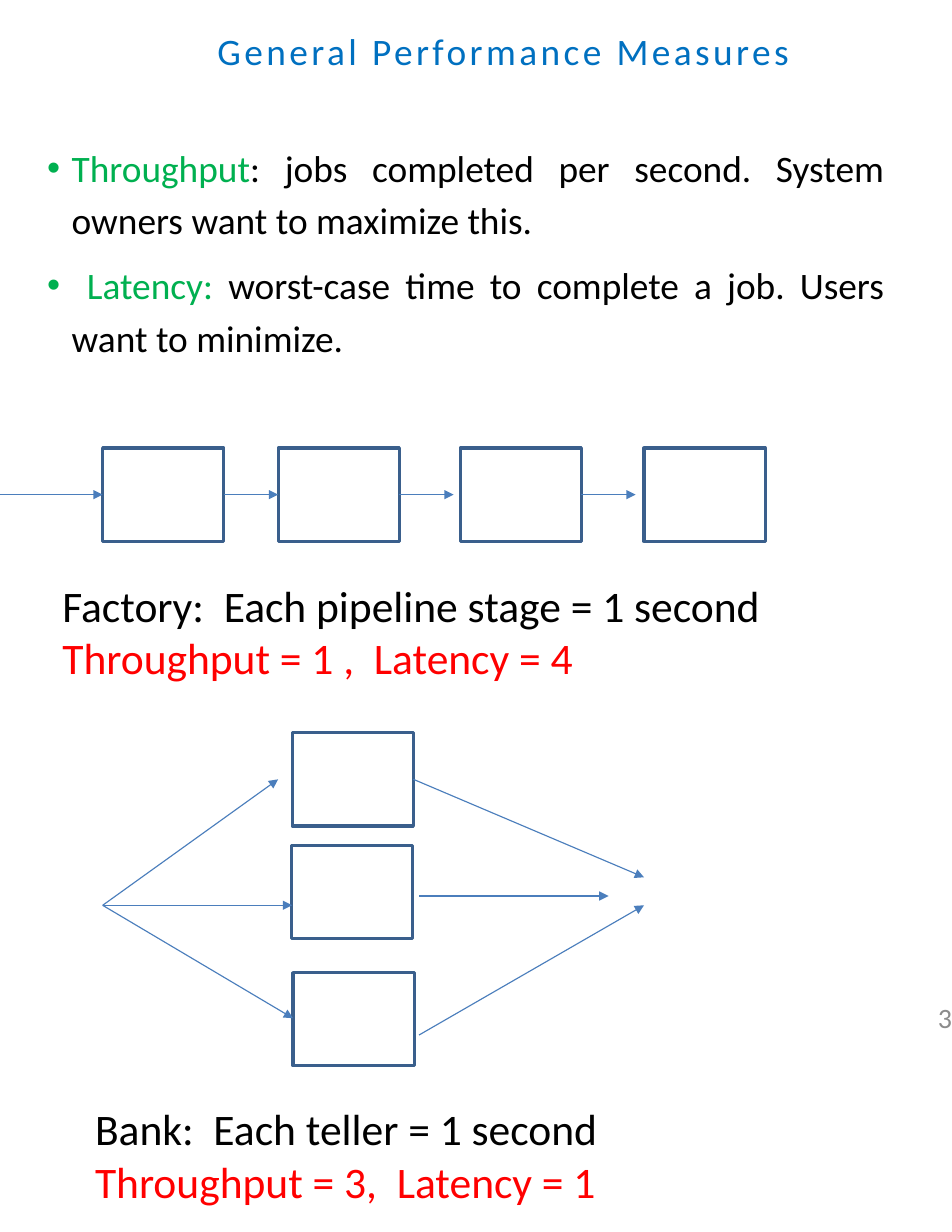
import pptx
import pptx.util
from pptx.dml.color import RGBColor
from pptx.enum.shapes import MSO_CONNECTOR, MSO_SHAPE
from pptx.enum.text import MSO_ANCHOR, MSO_AUTO_SIZE, PP_ALIGN
from pptx.oxml.ns import qn
from lxml import etree

WIDE, HIGH = 8.5, 11
COLS, ROWS = 102, 132
STAGE = (13, 10)
BLUE, GREEN, RED, BLACK = "0070C0", "00B050", "FF0000", "000000"


def col(n):
    return pptx.util.Inches(n * WIDE / COLS)


def row(n):
    return pptx.util.Inches(n * HIGH / ROWS)


def grid(box):
    left, top, width, height = box
    return col(left), row(top), col(width), row(height)


def hue(text):
    return RGBColor.from_string(text)


def place(holder, box):
    holder.left, holder.top, holder.width, holder.height = grid(box)


def frame(shape, inset=True):
    """Wrap the text from the top of the shape, at a fixed size."""
    text = shape.text_frame
    text.word_wrap = True
    text.auto_size = MSO_AUTO_SIZE.NONE
    text.vertical_anchor = MSO_ANCHOR.TOP
    if not inset:
        text.margin_left = text.margin_right = 0
        text.margin_top = text.margin_bottom = 0
    return text


def write(para, text, color, size=24):
    run = para.add_run()
    run.text = text
    font = run.font
    font.name, font.size = "Calibri", pptx.util.Pt(size)
    font.color.rgb = hue(color)
    return run


def title(slide, box):
    head = slide.shapes.title
    place(head, box)
    para = frame(head, False).paragraphs[0]
    para.alignment = PP_ALIGN.LEFT
    run = write(para, "General Performance Measures", BLUE)
    run.font._element.set("spc", "220")


def bullets(slide, box, items):
    body = slide.placeholders[1]
    place(body, box)
    text = frame(body, False)
    for i, (term, rest) in enumerate(items):
        para = text.paragraphs[0] if i == 0 else text.add_paragraph()
        props = para._p.get_or_add_pPr()
        props.set("marL", str(col(2.64)))
        props.set("indent", str(-col(2.64)))
        etree.SubElement(props, qn("a:buChar")).set("char", "•")
        para.alignment = PP_ALIGN.JUSTIFY
        para.line_spacing = 1.17
        para.space_before = pptx.util.Pt(8.2 if i else 0)
        write(para, term, GREEN)
        write(para, rest, BLACK)


def stage(slide, x, y):
    shape = slide.shapes.add_shape(MSO_SHAPE.RECTANGLE, *grid((x, y, *STAGE)))
    shape.shadow.inherit = False
    shape.fill.background()
    shape.line.color.rgb = hue("3A5F8C")
    shape.line.width = pptx.util.Pt(2)


def arrow(slide, x1, y1, x2, y2):
    link = slide.shapes.add_connector(
        MSO_CONNECTOR.STRAIGHT, col(x1), row(y1), col(x2), row(y2))
    link.line.color.rgb = hue("4B7EBC")
    link.line.width = pptx.util.Pt(0.75)
    etree.SubElement(link.line._get_or_add_ln(), qn("a:tailEnd")).set("type", "triangle")
    etree.SubElement(link._element.spPr, qn("a:effectLst"))


def factory(slide, left, top):
    """Four stages in a row, each fed by an arrow."""
    starts = (11, 29.8, 49.3, 69)
    for x in starts:
        stage(slide, left + x, top)
    mid = top + STAGE[1] / 2
    arrow(slide, left, mid, left + starts[0], mid)
    for x in starts[:-1]:
        edge = left + x + STAGE[0]
        arrow(slide, edge, mid, edge + 5.8, mid)


def bank(slide, left, top):
    """Three tellers side by side between one entry and one exit."""
    for x, y in ((20.3, 0), (20.2, 12.1), (20.4, 25.7)):
        stage(slide, left + x, top + y)
    entry = (0, 18.5)
    links = [(*entry, x, y) for x, y in ((18.8, 5), (20.3, 18.5), (20.4, 30.6))]
    links += [(33.3, 5, 58, 15.5), (33.9, 17.5, 54.2, 17.5), (33.9, 32.4, 58, 18.5)]
    for x1, y1, x2, y2 in links:
        arrow(slide, left + x1, top + y1, left + x2, top + y2)


def label(slide, box, setup, result):
    text = frame(slide.shapes.add_textbox(*grid(box)))
    write(text.paragraphs[0], setup, BLACK, 28)
    write(text.add_paragraph(), result, RED, 28)


def number(slide, box, text):
    para = frame(slide.shapes.add_textbox(*grid(box)), False).paragraphs[0]
    para.alignment = PP_ALIGN.RIGHT
    para.line_spacing = pptx.util.Pt(12.3)
    write(para, text, "8C8C8C", 18)


def main():
    deck = pptx.Presentation()
    deck.slide_width = pptx.util.Inches(WIDE)
    deck.slide_height = pptx.util.Inches(HIGH)
    slide = deck.slides.add_slide(deck.slide_layouts[1])
    title(slide, (23.3, 3, 66, 5))
    bullets(slide, (5.04, 14.7, 89.7, 24), (
        ("Throughput", ": jobs completed per second. System owners want to maximize this."),
        (" Latency: ", "worst-case time to complete a job. Users want to minimize."),
    ))
    factory(slide, 0, 48)
    label(slide, (5.5, 61.4, 86, 12.5),
          "Factory:  Each pipeline stage = 1 second", "Throughput = 1 ,  Latency = 4")
    bank(slide, 11, 78.5)
    label(slide, (9, 117.5, 86, 12.5),
          "Bank:  Each teller = 1 second", "Throughput = 3,  Latency = 1")
    number(slide, (99.6, 108.7, 2.4, 2.2), "3")
    deck.save("out.pptx")


if __name__ == "__main__":
    main()
